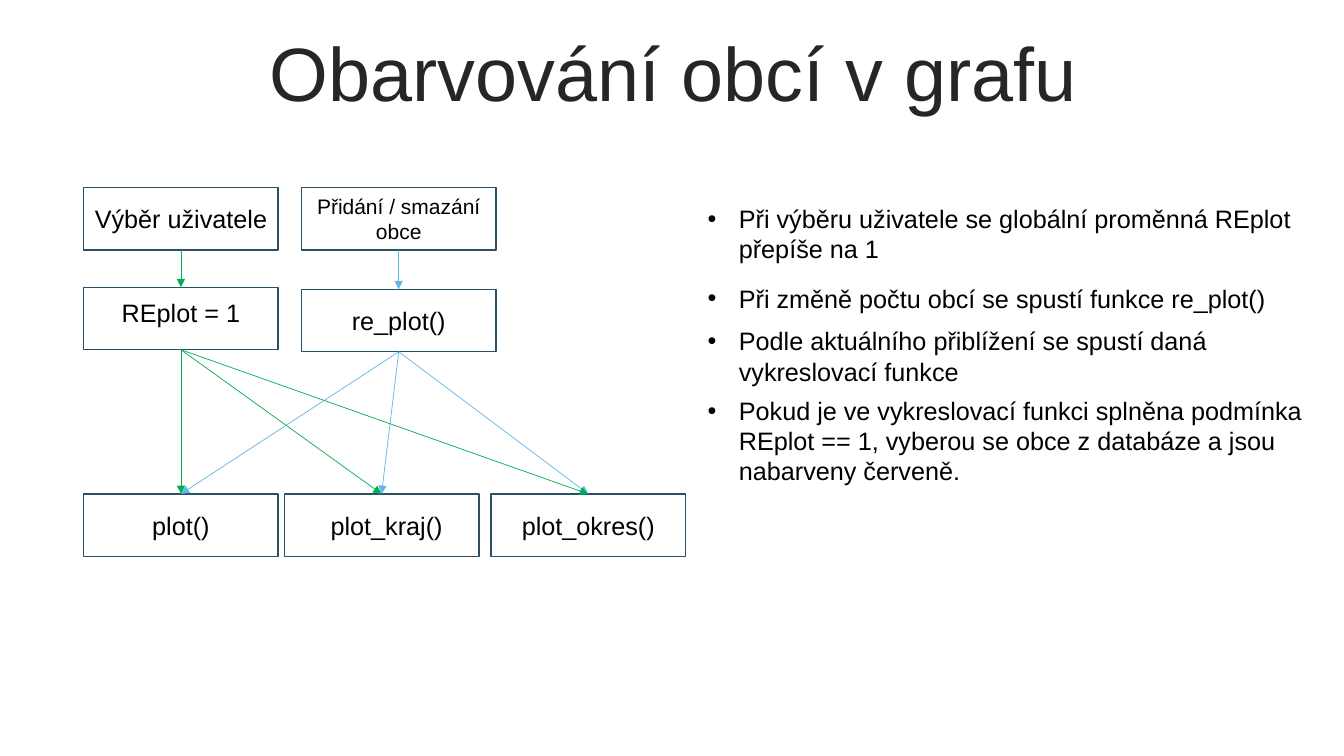
from dataclasses import dataclass

from lxml.etree import SubElement
from pptx import Presentation
from pptx.dml.color import RGBColor as Rgb
from pptx.enum.shapes import MSO_CONNECTOR as Link, MSO_SHAPE as Shape
from pptx.enum.text import MSO_ANCHOR as Anchor, PP_ALIGN as Align
from pptx.oxml.ns import qn
from pptx.util import Inches, Pt


@dataclass(frozen=True)
class Theme:
    font: str = "Arial"
    ink: str = "000000"
    head: str = "262626"
    edge: str = "2B5066"
    green: str = "00B050"
    blue: str = "62B7E8"
    title: float = 54
    body: float = 18
    small: float = 15


THEME = Theme()
BOX_W, BOX_H = 1.93, 0.62
TOP, BOTTOM = 0, 2  # connection sites of a rectangle

# name: left and top within the chart, label, size, label shift right and down
BOXES = {
    "pick": (0, 0, "Výběr uživatele", THEME.body, 0, 0),
    "flag": (0, 0.99, "REplot = 1", THEME.body, 0, -0.06),
    "edit": (2.16, 0, "Přidání / smazání obce", THEME.small, 0, 0),
    "redraw": (2.16, 1.01, "re_plot()", THEME.body, 0, 0),
    "plot": (0, 3.04, "plot()", THEME.body, 0, 0),
    "region": (1.99, 3.04, "plot_kraj()", THEME.body, 0.05, 0),
    "county": (4.04, 3.04, "plot_okres()", THEME.body, 0, 0),
}
FLOWS = [("edit", "redraw", THEME.blue), ("pick", "flag", THEME.green)]
PLOTS = ["region", "county", "plot"]

# text, space before in points
POINTS = [
    ("Při výběru uživatele se globální proměnná REplot\npřepíše na 1", 0),
    ("Při změně počtu obcí se spustí funkce re_plot()", 13.5),
    ("Podle aktuálního přiblížení se spustí daná\nvykreslovací funkce", 9),
    ("Pokud je ve vykreslovací funkci splněna podmínka\n"
     "REplot == 1, vyberou se obce z databáze a jsou\nnabarveny červeně.", 6.5),
]


def write(para, text, size=THEME.body, color=THEME.ink, align=Align.LEFT,
          before=0, spacing=1.0):
    para.text = text
    para.alignment = align
    para.space_before = Pt(before)
    para.line_spacing = spacing
    for run in para.runs:
        run.font.name = THEME.font
        run.font.size = Pt(size)
        run.font.color.rgb = Rgb.from_string(color)


def add_bullet(para, indent):
    props = para._p.get_or_add_pPr()
    props.set("marL", str(Inches(indent)))
    props.set("indent", str(-Inches(indent)))
    SubElement(props, qn("a:buFont"), typeface=THEME.font)
    SubElement(props, qn("a:buChar"), char="•")


def add_frame(slide, left, top, width, height):
    frame = slide.shapes.add_textbox(
        Inches(left), Inches(top), Inches(width), Inches(height)).text_frame
    frame.word_wrap = True
    return frame


def add_title(slide, left, top, width, height):
    frame = add_frame(slide, left, top, width, height)
    frame.vertical_anchor = Anchor.MIDDLE
    write(frame.paragraphs[0], "Obarvování obcí v grafu", size=THEME.title,
          color=THEME.head, align=Align.CENTER, spacing=0.9)


def add_box(slide, left, top, label, size, right, down):
    """Draw a labelled box; insets move the label off the centre."""
    box = slide.shapes.add_shape(Shape.RECTANGLE, Inches(left), Inches(top),
                                 Inches(BOX_W), Inches(BOX_H))
    box.shadow.inherit = False
    box.fill.background()
    box.line.color.rgb = Rgb.from_string(THEME.edge)
    box.line.width = Pt(1)
    frame = box.text_frame
    frame.word_wrap = True
    frame.vertical_anchor = Anchor.MIDDLE
    frame.margin_left = Inches(0.04 + 2 * right)
    frame.margin_right = Inches(0.04)
    frame.margin_top = Inches(0)
    frame.margin_bottom = Inches(-2 * down)
    write(frame.paragraphs[0], label, size=size, align=Align.CENTER)
    return box


def add_arrow(slide, start, end, color):
    arrow = slide.shapes.add_connector(Link.STRAIGHT, 0, 0, 0, 0)
    arrow.begin_connect(start, BOTTOM)
    arrow.end_connect(end, TOP)
    arrow.line.color.rgb = Rgb.from_string(color)
    arrow.line.width = Pt(0.5)
    SubElement(arrow.line._get_or_add_ln(), qn("a:tailEnd"), type="triangle")
    SubElement(arrow._element.spPr, qn("a:effectLst"))


def add_chart(slide, left, top):
    boxes = {name: add_box(slide, left + x, top + y, *rest)
             for name, (x, y, *rest) in BOXES.items()}
    for source, step, color in FLOWS:
        add_arrow(slide, boxes[source], boxes[step], color)
        for plot in PLOTS:
            add_arrow(slide, boxes[step], boxes[plot], color)


def add_points(slide, left, top, width, height):
    frame = add_frame(slide, left, top, width, height)
    for i, (text, before) in enumerate(POINTS):
        para = frame.add_paragraph() if i else frame.paragraphs[0]
        write(para, text, before=before)
        add_bullet(para, 0.31)


def main():
    deck = Presentation()
    deck.slide_width, deck.slide_height = Inches(13.33), Inches(7.5)
    slide = deck.slides.add_slide(deck.slide_layouts[6])
    add_title(slide, 0.35, 0.37, 12.66, 0.79)
    add_chart(slide, 0.83, 1.86)
    add_points(slide, 6.92, 1.97, 6.3, 2.9)
    deck.save("out.pptx")


if __name__ == "__main__":
    main()
